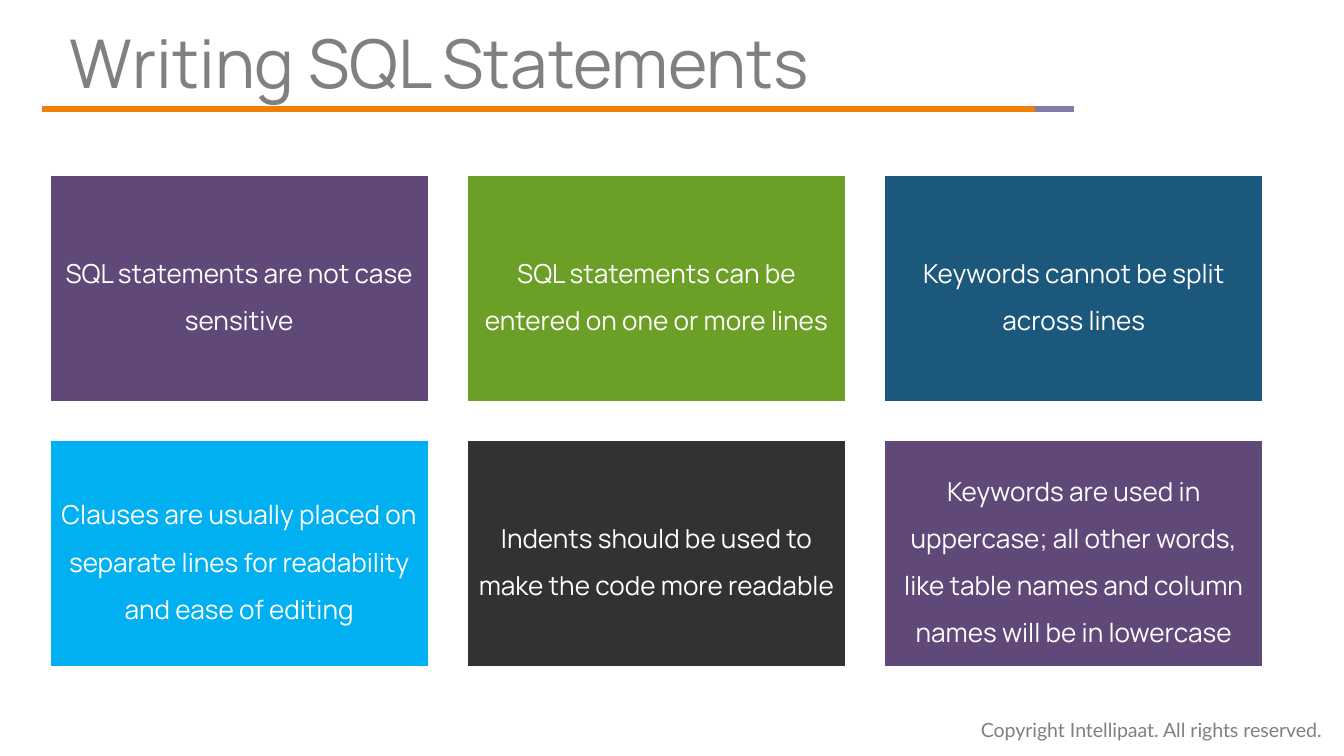
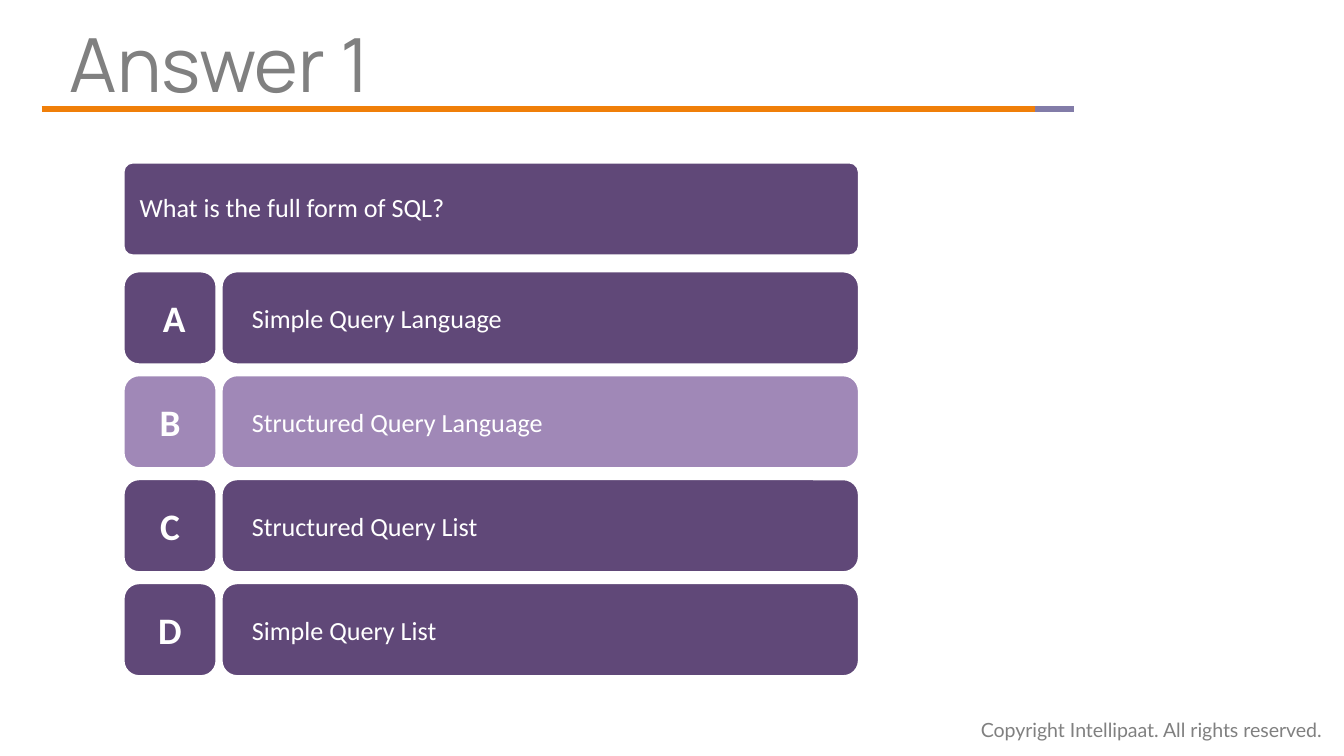
from pptx import Presentation
from pptx.dml.color import RGBColor
from pptx.enum.shapes import MSO_CONNECTOR, MSO_SHAPE as SHAPE
from pptx.enum.text import MSO_ANCHOR as ANCHOR, MSO_AUTO_SIZE as AUTO, PP_ALIGN as ALIGN
from pptx.oxml.ns import qn
from pptx.util import Inches, Pt
from lxml.etree import SubElement

# Palette
WHITE = RGBColor(0xFF, 0xFF, 0xFF)
GRAY = RGBColor(0x80, 0x80, 0x80)
ORANGE = RGBColor(0xF0, 0x7F, 0x09)
LILAC = RGBColor(0x82, 0x7C, 0xA8)
PURPLE = RGBColor(0x60, 0x48, 0x78)
HIGHLIGHT = RGBColor(0xA0, 0x88, 0xB7)
GREEN = RGBColor(0x6B, 0x9F, 0x25)
NAVY = RGBColor(0x1B, 0x58, 0x7C)
SKY = RGBColor(0x00, 0xB0, 0xF0)
CHARCOAL = RGBColor(0x32, 0x32, 0x32)

# Text formats
TITLE = dict(font=dict(name="Manrope", color=GRAY), para=dict(line_spacing=0.9))
FOOTER = dict(font=dict(name="Lato", size=Pt(10.5), color=GRAY))
CARD = dict(font=dict(name="Manrope", size=Pt(14), color=WHITE),
            para=dict(alignment=ALIGN.CENTER, line_spacing=1.5))
QUESTION = dict(font=dict(name="Calibri", size=Pt(14), color=WHITE),
                para=dict(alignment=ALIGN.LEFT, line_spacing=0.9))
ANSWER = dict(font=QUESTION["font"], para=dict(alignment=ALIGN.LEFT))
LETTER = dict(font=dict(name="Calibri", size=Pt(20), bold=True, color=WHITE),
              para=dict(alignment=ALIGN.CENTER))

# Card grid: equal gaps both ways
CARD_LEFT, CARD_TOP, CARD_RIGHT = 0.37, 1.3, 9.4
CARD_W, CARD_H, CARD_COLS = 2.82, 1.69, 3
CARD_GAP = (CARD_RIGHT - CARD_LEFT - CARD_COLS * CARD_W) / (CARD_COLS - 1)

# Quiz column
QUIZ_LEFT, QUIZ_RIGHT, ANSWER_LEFT = 0.92, 6.39, 1.65
QUESTION_TOP, ANSWERS_TOP, ANSWERS_BOTTOM = 1.21, 2.02, 5.03
ROW_H = 0.69

CARDS = [
    ("SQL statements are not case sensitive", PURPLE),
    ("SQL statements can be entered on one or more lines", GREEN),
    ("Keywords cannot be split across lines", NAVY),
    ("Clauses are usually placed on separate lines for readability and ease of editing", SKY),
    ("Indents should be used to make the code more readable", CHARCOAL),
    ("Keywords are used in uppercase; all other words, like table names "
     "and column names will be in lowercase", PURPLE),
]
ANSWERS = [
    (" A", "Simple Query Language", PURPLE),
    ("B", "Structured Query Language", HIGHLIGHT),
    ("C", "Structured Query List", PURPLE),
    ("D", "Simple Query List", PURPLE),
]


def set_text(sp, text, style, size=None, **frame):
    tf = sp.text_frame
    for key, value in {"word_wrap": True, **frame}.items():
        setattr(tf, key, value)
    p = tf.paragraphs[0]
    for key, value in style.get("para", {}).items():
        setattr(p, key, value)
    r = p.add_run()
    r.text = text
    for key, value in style["font"].items():
        if key == "color":
            r.font.color.rgb = value
        else:
            setattr(r.font, key, value)
    if size:
        r.font.size = Pt(size)


def insets(x, y):
    return dict(margin_left=Inches(x), margin_right=Inches(x),
                margin_top=Inches(y), margin_bottom=Inches(y))


def add_text(slide, box, text, style, **options):
    sp = slide.shapes.add_textbox(*map(Inches, box))
    set_text(sp, text, style, **options)


def add_block(slide, kind, box, fill, text, style, radius=None, **frame):
    sp = slide.shapes.add_shape(kind, *map(Inches, box))
    sp.shadow.inherit = False
    sp.fill.solid()
    sp.fill.fore_color.rgb = fill
    sp.line.color.rgb = WHITE
    sp.line.width = Pt(1)
    if radius is not None:
        sp.adjustments[0] = radius
    set_text(sp, text, style, vertical_anchor=ANCHOR.MIDDLE, **frame)


def add_rule(slide, x1, x2, y, color):
    line = slide.shapes.add_connector(
        MSO_CONNECTOR.STRAIGHT, *map(Inches, (x1, y, x2, y)))
    line.line.color.rgb = color
    line.line.width = Pt(3)
    SubElement(line._element.spPr, qn("a:effectLst"))


def new_slide(prs, title, size, top):
    """Blank slide with the shared footer, title and two-tone rule."""
    s = prs.slides.add_slide(prs.slide_layouts[6])
    add_text(s, (7.2, 5.29, 2.83, 0.28), "Copyright Intellipaat. All rights reserved.",
             FOOTER, word_wrap=False, auto_size=AUTO.SHAPE_TO_FIT_TEXT)
    add_text(s, (0.52, top, 8.44, 0.63), title, TITLE, size=size, margin_left=0)
    add_rule(s, 0.31, 7.7, 0.81, ORANGE)
    add_rule(s, 7.7, 7.99, 0.81, LILAC)
    return s


def add_cards(slide):
    for i, (text, fill) in enumerate(CARDS):
        row, col = divmod(i, CARD_COLS)
        box = (CARD_LEFT + col * (CARD_W + CARD_GAP),
               CARD_TOP + row * (CARD_H + CARD_GAP), CARD_W, CARD_H)
        add_block(slide, SHAPE.RECTANGLE, box, fill, text, CARD, **insets(0.06, 0.06))


def add_quiz(slide, question):
    rounded = SHAPE.ROUNDED_RECTANGLE
    add_block(slide, rounded, (QUIZ_LEFT, QUESTION_TOP, QUIZ_RIGHT - QUIZ_LEFT, ROW_H),
              PURPLE, question, QUESTION, radius=0.1, **insets(0.1, 0.07))
    pitch = (ANSWERS_BOTTOM - ANSWERS_TOP - ROW_H) / (len(ANSWERS) - 1)
    for i, (letter, text, fill) in enumerate(ANSWERS):
        y = ANSWERS_TOP + i * pitch
        add_block(slide, rounded, (QUIZ_LEFT, y, ROW_H, ROW_H), fill, letter, LETTER,
                  radius=0.167)
        add_block(slide, rounded, (ANSWER_LEFT, y, QUIZ_RIGHT - ANSWER_LEFT, ROW_H),
                  fill, text, ANSWER, radius=0.167, **insets(0.19, 0.19))


def main():
    prs = Presentation()
    prs.slide_width, prs.slide_height = Inches(10), Inches(5.625)

    # Slide 1: rules for statements
    add_cards(new_slide(prs, "Writing SQL Statements", size=36, top=0.18))

    # Slide 2: quiz answer
    add_quiz(new_slide(prs, "Answer 1", size=40, top=0.16), "What is the full form of SQL?")

    prs.save("out.pptx")


if __name__ == "__main__":
    main()
